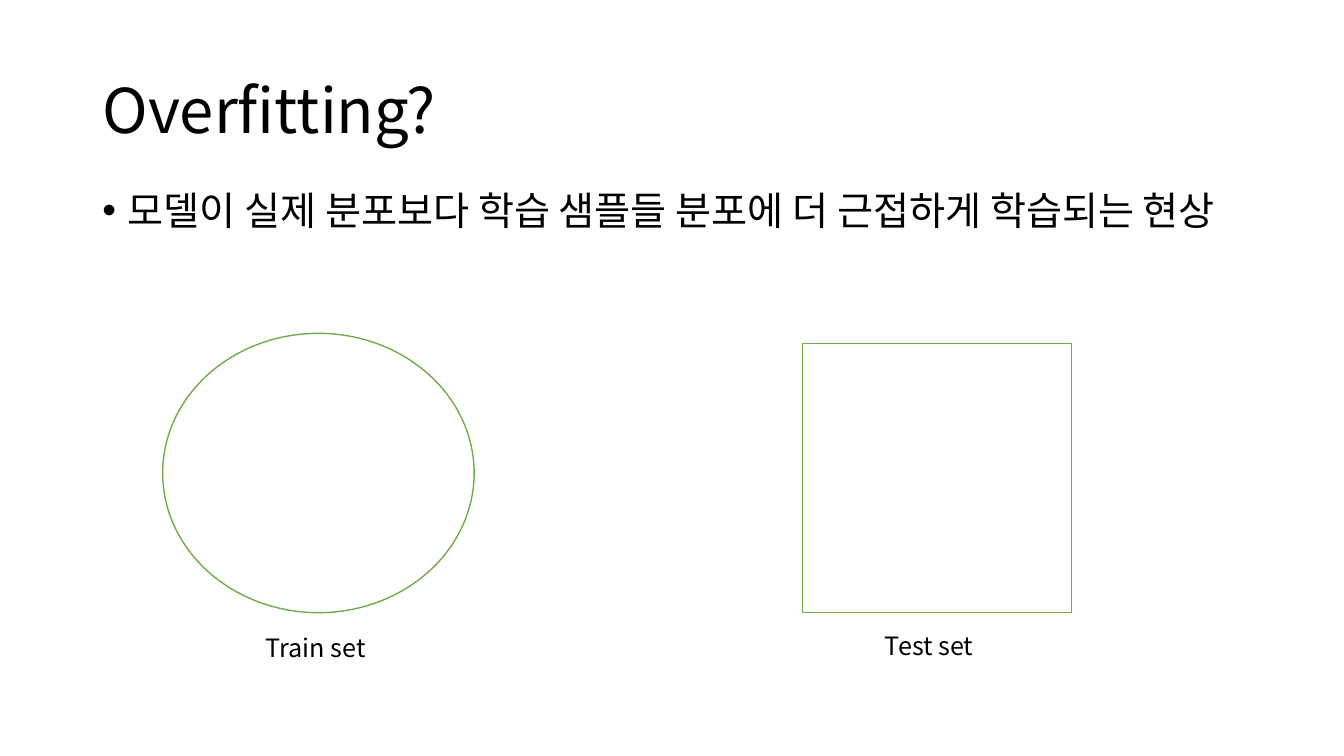
from lxml import etree
from pptx import Presentation
from pptx.dml.color import RGBColor
from pptx.enum import shapes, text
from pptx.oxml import ns
from pptx.util import Cm, Pt

BLACK = RGBColor(0x00, 0x00, 0x00)
WHITE = RGBColor(0xFF, 0xFF, 0xFF)
GREEN = RGBColor(0x70, 0xAD, 0x47)


class SlideBuilder:
    font = "Noto Sans CJK KR"

    def __init__(self, slide):
        self.slide = slide

    def text(self, wording, box, size, anchor=text.MSO_ANCHOR.TOP, line_spacing=None):
        frame = self.slide.shapes.add_textbox(*map(Cm, box)).text_frame
        frame.word_wrap = True
        frame.vertical_anchor = anchor
        paragraph = frame.paragraphs[0]
        if line_spacing:
            paragraph.line_spacing = line_spacing
        run = paragraph.add_run()
        run.text = wording
        run.font.name = self.font
        run.font.size = Pt(size)
        run.font.color.rgb = BLACK
        east_asian = etree.SubElement(run.font._element, ns.qn("a:ea"))
        east_asian.set("typeface", self.font)
        return paragraph

    def bullet(self, wording, box, size):
        paragraph = self.text(wording, box, size, line_spacing=0.9)
        paragraph.space_before = Pt(10)
        properties = paragraph._p.get_or_add_pPr()
        indent = Cm(0.64)
        properties.set("marL", str(indent))
        properties.set("indent", str(-indent))
        etree.SubElement(properties, ns.qn("a:buFont")).set("typeface", "Arial")
        etree.SubElement(properties, ns.qn("a:buChar")).set("char", "•")

    def outline(self, kind, box):
        shape = self.slide.shapes.add_shape(kind, *map(Cm, box))
        shape.shadow.inherit = False
        shape.fill.solid()
        shape.fill.fore_color.rgb = WHITE
        shape.line.color.rgb = GREEN
        shape.line.width = Pt(1)


deck = Presentation()
deck.slide_width, deck.slide_height = Cm(33.87), Cm(19.05)
overfitting = SlideBuilder(deck.slides.add_slide(deck.slide_layouts[6]))

overfitting.text("Overfitting?", (2.33, 1.01, 29.21, 3.68), 44,
                 text.MSO_ANCHOR.MIDDLE, 0.9)
overfitting.bullet("모델이 실제 분포보다 학습 샘플들 분포에 더 근접하게 학습되는 현상",
                   (2.33, 4.7, 30.48, 12.09), 28)

data_sets = [
    ("Train set", (6.45, 15.82), shapes.MSO_SHAPE.OVAL, (4.1, 8.4, 7.85, 7.04)),
    ("Test set", (22.05, 15.75), shapes.MSO_SHAPE.RECTANGLE, (20.22, 8.65, 6.78, 6.78)),
]
for label, label_corner, distribution, distribution_box in data_sets:
    overfitting.outline(distribution, distribution_box)
    overfitting.text(label, (*label_corner, 3.12, 1.02), 18)

deck.save("out.pptx")
